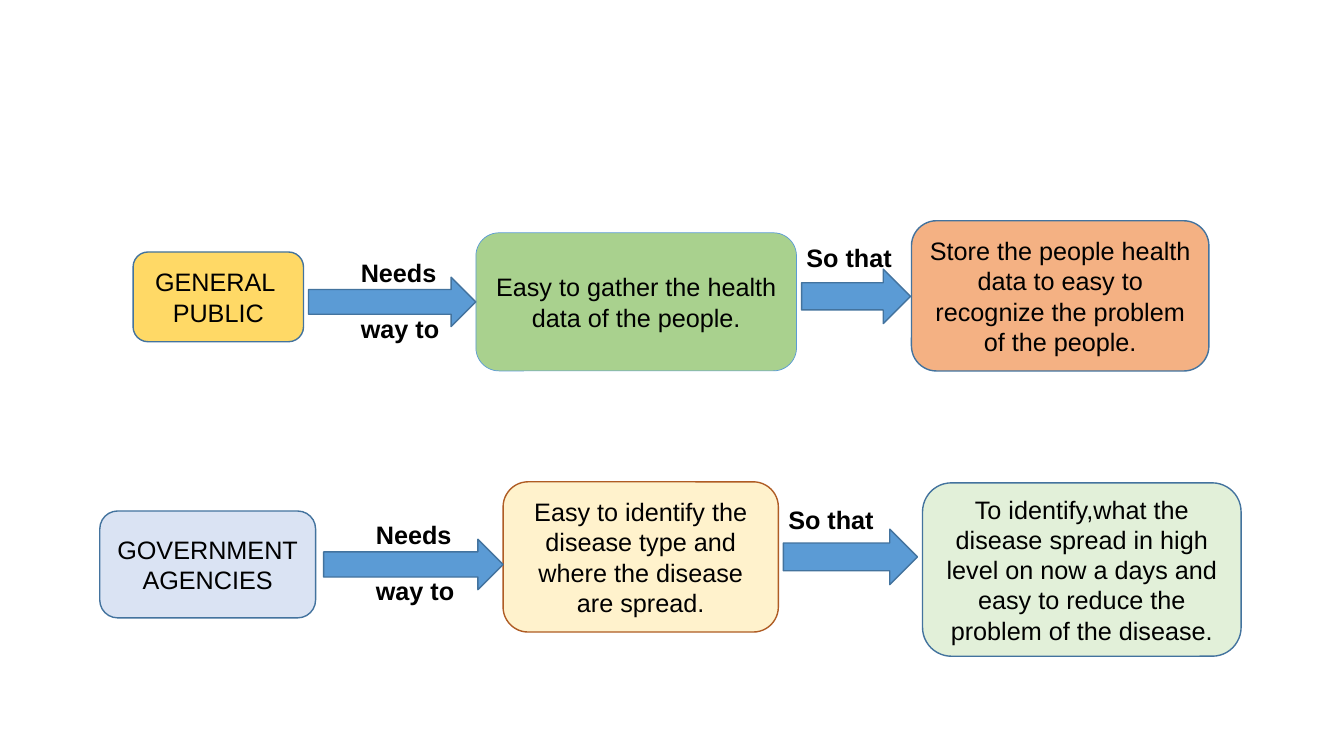
from dataclasses import dataclass

from pptx import Presentation
from pptx.dml.color import RGBColor
from pptx.enum.shapes import MSO_SHAPE
from pptx.enum.text import MSO_ANCHOR, PP_ALIGN
from pptx.shapes.autoshape import Shape
from pptx.slide import Slide
from pptx.text.text import TextFrame
from pptx.util import Inches, Pt

BLACK = RGBColor(0x00, 0x00, 0x00)
BLUE = RGBColor(0x5B, 0x9B, 0xD5)
DARK_BLUE = RGBColor(0x43, 0x73, 0x9E)
BROWN = RGBColor(0xAF, 0x5C, 0x24)
GOLD = RGBColor(0xFF, 0xD9, 0x66)
GREEN = RGBColor(0xA9, 0xD1, 0x8E)
ORANGE = RGBColor(0xF4, 0xB1, 0x83)
PALE_BLUE = RGBColor(0xDA, 0xE3, 0xF3)
CREAM = RGBColor(0xFF, 0xF2, 0xCC)
PALE_GREEN = RGBColor(0xE2, 0xF0, 0xD9)


@dataclass(frozen=True)
class Area:
    left: float
    top: float
    width: float
    height: float

    def lengths(self) -> tuple[Inches, Inches, Inches, Inches]:
        return Inches(self.left), Inches(self.top), Inches(self.width), Inches(self.height)


@dataclass(frozen=True)
class Step:
    text: str
    area: Area
    fill: RGBColor
    border: RGBColor = DARK_BLUE
    border_width: float = 1


@dataclass(frozen=True)
class Label:
    text: str
    area: Area


@dataclass(frozen=True)
class Story:
    steps: tuple[Step, ...]
    arrows: tuple[Area, ...]
    labels: tuple[Label, ...]


STORIES = (
    Story(
        steps=(
            Step("GENERAL \nPUBLIC", Area(1.32, 2.5, 1.69, 0.89), GOLD),
            Step("Easy to gather the health data of the people.",
                 Area(4.72, 2.31, 3.18, 1.37), GREEN, BLUE, 0.5),
            Step("Store the people health data to easy to recognize the problem of the people.",
                 Area(9.04, 2.19, 2.95, 1.49), ORANGE),
        ),
        arrows=(Area(3.06, 2.75, 1.66, 0.49), Area(7.95, 2.67, 1.08, 0.54)),
        labels=(
            Label("Needs", Area(3.48, 2.5, 2, 0.4)),
            Label("way to", Area(3.48, 3.06, 1.65, 0.58)),
            Label("So that", Area(7.9, 2.35, 1.56, 0.4)),
        ),
    ),
    Story(
        steps=(
            Step("GOVERNMENT\nAGENCIES", Area(0.99, 5.07, 2.14, 1.06), PALE_BLUE),
            Step("Easy to identify the disease type and where the disease are spread.",
                 Area(4.99, 4.78, 2.73, 1.49), CREAM, BROWN),
            Step("To identify,what the disease spread in high level on now a days "
                 "and easy to reduce the problem of the disease.",
                 Area(9.15, 4.79, 3.16, 1.72), PALE_GREEN),
        ),
        arrows=(Area(3.21, 5.35, 1.78, 0.5), Area(7.77, 5.25, 1.33, 0.55)),
        labels=(
            Label("Needs", Area(3.63, 5.1, 1.05, 0.4)),
            Label("way to", Area(3.63, 5.66, 1.07, 0.4)),
            Label("So that", Area(7.72, 4.95, 1.58, 0.4)),
        ),
    ),
)


def write(frame: TextFrame, text: str, align: PP_ALIGN, bold: bool) -> None:
    frame.word_wrap = True
    frame.text = text
    for paragraph in frame.paragraphs:
        paragraph.alignment = align
        for run in paragraph.runs:
            run.font.name = "Arial"
            run.font.size = Pt(18)
            run.font.bold = bold
            run.font.color.rgb = BLACK


def draw_shape(slide: Slide, preset: MSO_SHAPE, area: Area, fill: RGBColor,
               border: RGBColor, border_width: float) -> Shape:
    shape = slide.shapes.add_shape(preset, *area.lengths())
    shape.shadow.inherit = False
    shape.fill.solid()
    shape.fill.fore_color.rgb = fill
    shape.line.color.rgb = border
    shape.line.width = Pt(border_width)
    return shape


def draw_step(slide: Slide, step: Step) -> None:
    box = draw_shape(slide, MSO_SHAPE.ROUNDED_RECTANGLE, step.area, step.fill,
                     step.border, step.border_width)
    box.text_frame.vertical_anchor = MSO_ANCHOR.MIDDLE
    write(box.text_frame, step.text, PP_ALIGN.CENTER, False)


def draw_label(slide: Slide, label: Label) -> None:
    caption = slide.shapes.add_textbox(*label.area.lengths())
    write(caption.text_frame, label.text, PP_ALIGN.LEFT, True)


def draw_story(slide: Slide, story: Story) -> None:
    for step in story.steps:
        draw_step(slide, step)
    for arrow in story.arrows:
        draw_shape(slide, MSO_SHAPE.RIGHT_ARROW, arrow, BLUE, DARK_BLUE, 1)
    for label in story.labels:
        draw_label(slide, label)


presentation = Presentation()
presentation.slide_width = Inches(13.33)
presentation.slide_height = Inches(7.5)
story_slide = presentation.slides.add_slide(presentation.slide_layouts[6])
for user_story in STORIES:
    draw_story(story_slide, user_story)
presentation.save("out.pptx")
